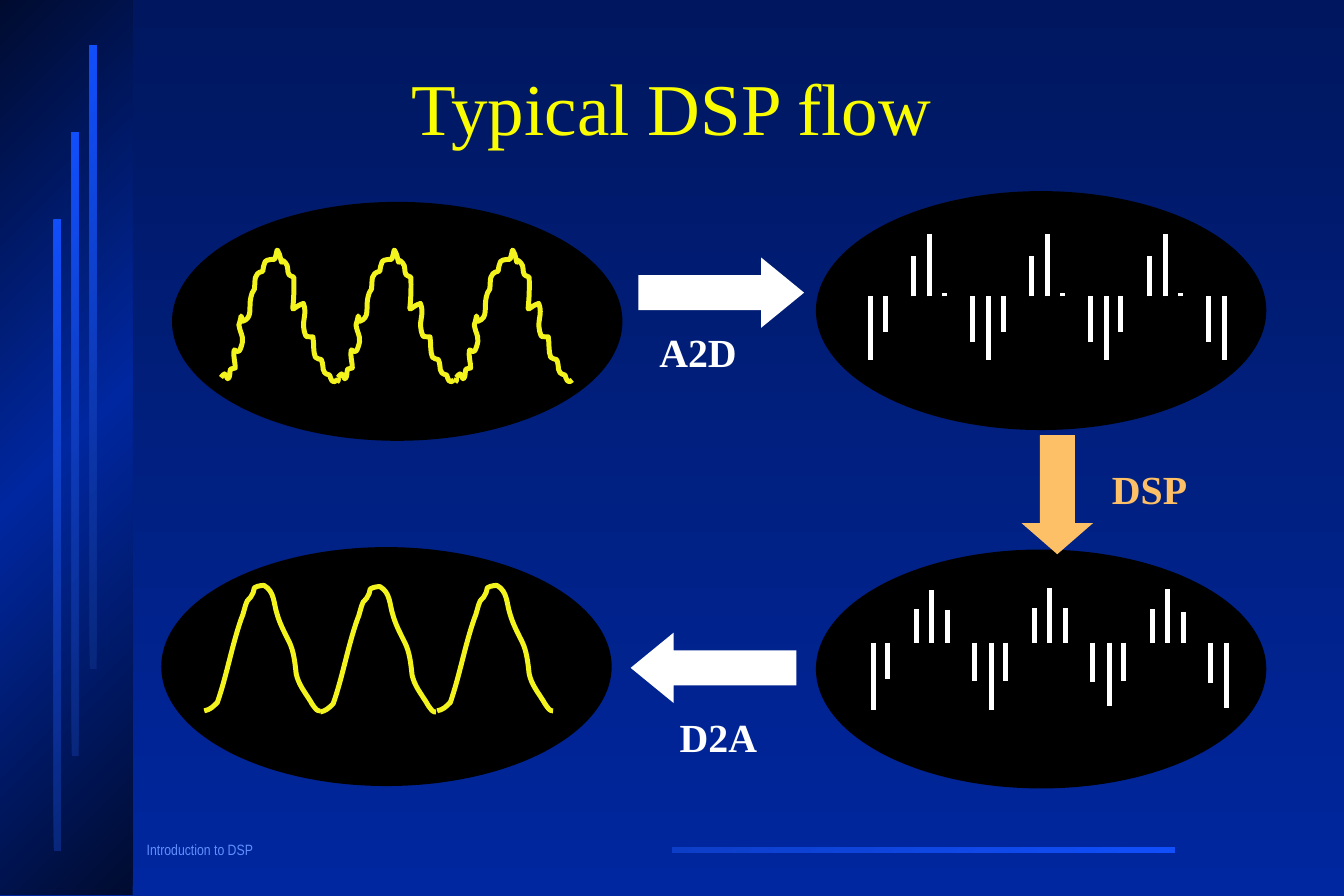
from copy import deepcopy

from lxml import etree
from pptx import Presentation, util as u
from pptx.dml.color import RGBColor
from pptx.enum import shapes, text
from pptx.oxml.ns import qn

COLOURS = {
    "night": "00175F", "navy": "00279F", "deep": "000B2F", "dusk": "08277C",
    "bright": "114FFB", "royal": "0D3EC8", "footer": "618FFD", "title": "FAFD00",
    "wave": "F3F31D", "black": "000000", "white": "FFFFFF", "orange": "FEC066",
}
SERIF = "Times New Roman"

# Text: wording, left, top, width, height, format
TEXTS = [
    ("Introduction to DSP", 1.13, 7, 1.5, 0.23,
     dict(size=9, font="Arial Narrow", colour="footer", spacing=0.9)),
    ("Typical DSP flow", 1.16, 0.32, 8.93, 1.25,
     dict(size=44, colour="title", spacing=0.85, align=text.PP_ALIGN.CENTER,
          anchor=text.MSO_ANCHOR.MIDDLE)),
    ("A2D", 5.42, 2.69, 0.85, 0.5, dict(bold=True, wrap=False)),
    ("D2A", 5.59, 5.92, 0.85, 0.5, dict(bold=True, wrap=False)),
    ("DSP", 9.21, 3.84, 0.83, 0.5, dict(bold=True, wrap=False, colour="orange")),
]

# Backdrop bars: left, top, width, height, gradient colours
BARS = [
    (5.63, 7.09, 4.21, 0.05, ("bright", "royal")),
    (0, 0, 1.11, 7.49, ("deep", "navy", "deep")),
    (0.45, 1.84, 0.06, 5.28, ("dusk", "bright")),
    (0.6, 1.11, 0.06, 5.22, ("dusk", "bright")),
    (0.75, 0.38, 0.06, 5.22, ("dusk", "bright")),
]
ELLIPSES = [(6.83, 4.6), (1.35, 4.58), (6.83, 1.6), (1.44, 1.69)]
ELLIPSE_SIZE = (3.77, 2)

# Arrows: left, top, width, rotation, head ratio, colour
ARROWS = [
    (5.35, 2.17, 1.37, 0, 0.611, "white"),
    (5.29, 5.31, 1.37, 180, 0.611, "white"),
    (8.36, 3.86, 0.98, 90, 0.435, "orange"),
]
ARROW_HEIGHT = 0.56

# One period of each wave: start point, then Bezier segments
NOISY_START = (1.85, 3.16)
NOISY_PERIOD = [
    (1.86, 3.15, 1.87, 3.13, 1.88, 3.13), (1.9, 3.14, 1.9, 3.18, 1.91, 3.17),
    (1.93, 3.15, 1.92, 3.12, 1.93, 3.09), (1.94, 3.08, 1.96, 3.09, 1.97, 3.08),
    (1.97, 3.03, 1.95, 2.98, 1.96, 2.93), (1.96, 2.92, 1.98, 2.95, 2, 2.94),
    (2.01, 2.94, 2.03, 2.87, 2.03, 2.86), (2.03, 2.83, 2.03, 2.81, 2.02, 2.79),
    (2.01, 2.77, 2, 2.72, 2, 2.72), (2.03, 2.63, 2.01, 2.62, 2.03, 2.69),
    (2.12, 2.66, 2.08, 2.58, 2.1, 2.49), (2.1, 2.46, 2.12, 2.44, 2.13, 2.42),
    (2.14, 2.34, 2.12, 2.29, 2.2, 2.27), (2.2, 2.24, 2.21, 2.22, 2.22, 2.19),
    (2.23, 2.17, 2.3, 2.17, 2.3, 2.17), (2.33, 2.08, 2.31, 2.07, 2.34, 2.13),
    (2.38, 2.28, 2.33, 2.13, 2.39, 2.2), (2.42, 2.23, 2.4, 2.27, 2.42, 2.3),
    (2.43, 2.31, 2.44, 2.31, 2.46, 2.32), (2.47, 2.68, 2.4, 2.59, 2.54, 2.54),
    (2.58, 2.64, 2.51, 2.69, 2.56, 2.81), (2.57, 2.83, 2.6, 2.81, 2.62, 2.82),
    (2.63, 2.88, 2.62, 2.94, 2.64, 2.99), (2.65, 3.01, 2.68, 3, 2.69, 3.01),
    (2.72, 3.08, 2.68, 3.12, 2.76, 3.14), (2.77, 3.17, 2.78, 3.22, 2.82, 3.18),
]
LINK_START = (2.82, 3.2)
NOISY_LINK = [(2.84, 3.18, 2.83, 3.19, 2.83, 3.16)]
SMOOTH_START = (1.71, 5.95)
SMOOTH_PERIOD = [
    (1.76, 5.94, 1.78, 5.92, 1.82, 5.88), (1.9, 5.65, 1.94, 5.41, 2.02, 5.18),
    (2.04, 5.14, 2.05, 5.07, 2.07, 5.03), (2.09, 5.01, 2.11, 4.99, 2.12, 4.96),
    (2.13, 4.95, 2.12, 4.93, 2.13, 4.92), (2.16, 4.9, 2.21, 4.9, 2.21, 4.9),
    (2.3, 4.95, 2.29, 5.05, 2.32, 5.14), (2.34, 5.21, 2.37, 5.27, 2.4, 5.33),
    (2.4, 5.35, 2.42, 5.35, 2.42, 5.37), (2.46, 5.45, 2.47, 5.55, 2.48, 5.64),
    (2.5, 5.73, 2.55, 5.79, 2.6, 5.87), (2.61, 5.89, 2.63, 5.92, 2.65, 5.94),
    (2.65, 5.95, 2.68, 5.95, 2.68, 5.95),
]
# Waves: start, segments, (across, down) shift of each repeat
WAVES = [
    (NOISY_START, NOISY_PERIOD, [(0, 0), (0.98, 0), (1.97, 0)]),
    (LINK_START, NOISY_LINK, [(0, 0), (0.99, 0)]),
    (SMOOTH_START, SMOOTH_PERIOD, [(0, 0), (0.97, 0.01), (1.95, 0)]),
]

# Samples: first x, baseline, signed lengths (positive hangs down)
SAMPLE_STEPS = (0, 0.12, 0.36, 0.49, 0.62, 0.85)
SAMPLE_PERIOD = 2.96 / 3
SAMPLES = [
    (7.29, 2.48, [0.53, 0.3, -0.34, -0.52, -0.03, 0.38] * 3 + [0.53]),
    (7.31, 5.38, [0.56, 0.3, -0.28, -0.44, -0.27, 0.32,
                  0.56, 0.32, -0.29, -0.46, -0.29, 0.33,
                  0.53, 0.32, -0.28, -0.45, -0.26, 0.34, 0.55]),
]

deck = Presentation()
deck.slide_width, deck.slide_height = u.Inches(11.25), u.Inches(7.5)
page = deck.slides.add_slide(deck.slide_layouts[6])


def rgb(name):
    return RGBColor.from_string(COLOURS[name])


def paint_gradient(fill, names, angle, owner=None):
    fill.gradient()
    fill.gradient_angle = angle
    if len(names) > 2:
        stop_list = next(owner.iter(qn("a:gsLst")))
        stop_list.append(deepcopy(stop_list[-1]))
    for index, (stop, name) in enumerate(zip(fill.gradient_stops, names)):
        stop.position = index / (len(names) - 1)
        stop.color.rgb = rgb(name)


def add_preset(kind, left, top, width, height, colour=None):
    shape = page.shapes.add_shape(kind, *map(u.Inches, (left, top, width, height)))
    shape.shadow.inherit = False
    shape.line.fill.background()
    if colour:
        shape.fill.solid()
        shape.fill.fore_color.rgb = rgb(colour)
    return shape


def add_text(words, left, top, width, height, size=24, font=SERIF, colour="white",
             bold=False, wrap=True, spacing=None, align=text.PP_ALIGN.LEFT,
             anchor=text.MSO_ANCHOR.TOP):
    box = page.shapes.add_textbox(*map(u.Inches, (left, top, width, height)))
    frame = box.text_frame
    frame.word_wrap, frame.vertical_anchor = wrap, anchor
    para = frame.paragraphs[0]
    para.alignment, para.line_spacing = align, spacing
    span = para.add_run()
    span.text = words
    span.font.name, span.font.size, span.font.bold = font, u.Pt(size), bold
    span.font.color.rgb = rgb(colour)


def add_wave(start, segments, across, down):
    points = [start] + [seg[i:i + 2] for seg in segments for i in (0, 2, 4)]
    first, *rest = [(u.Inches(x + across), u.Inches(y + down)) for x, y in points]
    builder = page.shapes.build_freeform(*first)
    builder.add_line_segments(rest, close=False)
    wave = builder.convert_to_shape()
    wave.shadow.inherit = False
    wave.fill.background()
    wave.line.color.rgb, wave.line.width = rgb("wave"), u.Pt(3)
    # Each three straight steps become one Bezier curve
    steps = list(wave._element.iter(qn("a:lnTo")))
    for index in range(0, len(steps), 3):
        curve = etree.SubElement(steps[index].getparent(), qn("a:cubicBezTo"))
        for step in steps[index:index + 3]:
            curve.append(step[0])
            step.getparent().remove(step)


def add_sample(x, baseline, length):
    line = page.shapes.add_connector(shapes.MSO_CONNECTOR.STRAIGHT, *map(
        u.Inches, (x, baseline, x, baseline + length)))
    line.line.color.rgb, line.line.width = rgb("white"), u.Pt(3)
    etree.SubElement(line._element.spPr, qn("a:effectLst"))


# Backdrop
paint_gradient(page.background.fill, ("night", "navy"), 270)
for *place, names in BARS:
    bar = add_preset(shapes.MSO_SHAPE.RECTANGLE, *place)
    paint_gradient(bar.fill, names, 135, bar._element)

# Signal panels
for left, top in ELLIPSES:
    add_preset(shapes.MSO_SHAPE.OVAL, left, top, *ELLIPSE_SIZE, colour="black")

# Analogue waves
for start, segments, shifts in WAVES:
    for across, down in shifts:
        add_wave(start, segments, across, down)

# Digital samples
for first_x, baseline, lengths in SAMPLES:
    for index, length in enumerate(lengths):
        period, step = divmod(index, len(SAMPLE_STEPS))
        add_sample(first_x + period * SAMPLE_PERIOD + SAMPLE_STEPS[step], baseline, length)

# Flow arrows with sharp corners
for left, top, width, rotation, head, colour in ARROWS:
    arrow = add_preset(shapes.MSO_SHAPE.RIGHT_ARROW, left, top, width, ARROW_HEIGHT, colour)
    arrow.rotation = rotation
    arrow.adjustments[0], arrow.adjustments[1] = 0.5, head
    arrow.line.color.rgb, arrow.line.width = rgb(colour), u.Pt(1)
    etree.SubElement(arrow.line._get_or_add_ln(), qn("a:miter"), lim="800000")

# Title, labels and footer
for words, left, top, width, height, style in TEXTS:
    add_text(words, left, top, width, height, **style)

deck.save("out.pptx")
